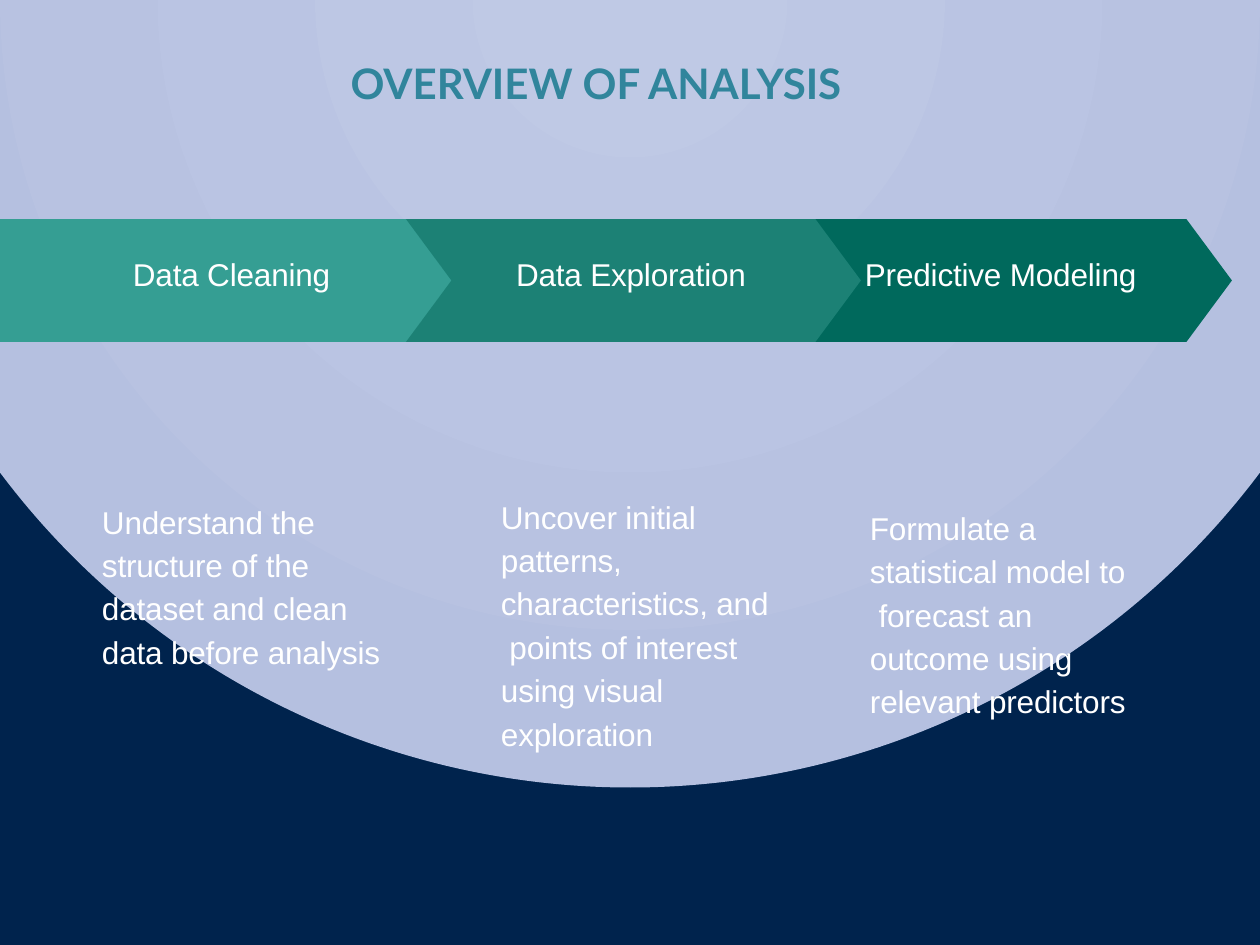
from lxml import etree
from pptx import Presentation
from pptx.dml.color import RGBColor
from pptx.enum import shapes, text
from pptx.oxml import ns
from pptx.util import Emu, Pt

PX = 914400 // 126
WHITE = RGBColor(0xFF, 0xFF, 0xFF)
HEADING = RGBColor(0x31, 0x85, 0x9C)
MINT = RGBColor(0x35, 0x9E, 0x93)
TEAL = RGBColor(0x1C, 0x81, 0x75)
PINE = RGBColor(0x00, 0x69, 0x5C)
GLOW = RGBColor(0xBF, 0xC9, 0xE5)
HAZE = RGBColor(0xB5, 0xC0, 0xE0)
NAVY = RGBColor(0x00, 0x23, 0x4D)

BACKGROUND = f"""<p:bg {ns.nsdecls('p', 'a')}><p:bgPr>
<a:gradFill rotWithShape="1"><a:gsLst>
<a:gs pos="0"><a:srgbClr val="{GLOW}"/></a:gs>
<a:gs pos="100000"><a:srgbClr val="{HAZE}"><a:alpha val="87000"/></a:srgbClr></a:gs>
<a:gs pos="100000"><a:srgbClr val="{NAVY}"/></a:gs>
</a:gsLst><a:path path="circle">
<a:fillToRect l="50000" t="-80000" r="50000" b="180000"/></a:path></a:gradFill>
<a:effectLst/></p:bgPr></p:bg>"""


def px(*lengths):
    return [Emu(length * PX) for length in lengths]


def write(frame, words, font="Arial", size=18, color=WHITE, bold=False,
          align=text.PP_ALIGN.LEFT, anchor=text.MSO_ANCHOR.TOP,
          line_spacing=1.0, tracking=-10):
    frame.word_wrap = True
    frame.auto_size = text.MSO_AUTO_SIZE.SHAPE_TO_FIT_TEXT
    frame.vertical_anchor = anchor
    frame.margin_left, frame.margin_top, frame.margin_right, frame.margin_bottom = px(1, 3, 0, 0)
    frame.text = words
    paragraph = frame.paragraphs[0]
    paragraph.alignment = align
    paragraph.line_spacing = line_spacing
    for run in paragraph.runs:
        run.font.name = font
        run.font.size = Pt(size)
        run.font.bold = bold
        run.font.color.rgb = color
        run._r.get_or_add_rPr().set("spc", str(tracking))


class Deck:
    def __init__(self):
        self.show = Presentation()
        self.show.slide_width, self.show.slide_height = px(1260, 945)
        self.slide = self.show.slides.add_slide(self.show.slide_layouts[5])

    def background(self):
        self.slide._element.cSld.insert(0, etree.fromstring(BACKGROUND))

    def title(self, words, *box):
        heading = self.slide.shapes.title
        heading.left, heading.top, heading.width, heading.height = px(*box)
        write(heading.text_frame, words, font="Lato", size=24, color=HEADING,
              bold=True, align=text.PP_ALIGN.CENTER,
              anchor=text.MSO_ANCHOR.MIDDLE, tracking=0)

    def arrow(self, preset, color, left, width):
        arrow = self.slide.shapes.add_shape(preset, *px(left, 219, width, 123))
        arrow.adjustments[0] = 0.37
        arrow.shadow.inherit = False
        arrow.fill.solid()
        arrow.fill.fore_color.rgb = color
        arrow.line.fill.background()

    def words(self, words, *box, **style):
        write(self.slide.shapes.add_textbox(*px(*box)).text_frame, words, **style)


def main():
    deck = Deck()
    deck.background()
    deck.title("OVERVIEW OF ANALYSIS", 254, 55, 683, 53)

    chevron = shapes.MSO_SHAPE.CHEVRON
    stages = [
        (chevron, PINE, (776, 456),
         "Predictive Modeling", (864, 252, 278, 40),
         "Formulate a\vstatistical model to\v forecast an\voutcome using\vrelevant predictors",
         (869, 500, 262, 222)),
        (shapes.MSO_SHAPE.PENTAGON, MINT, (0, 452),
         "Data Cleaning", (132, 252, 203, 40),
         "Understand the\vstructure of the\vdataset and clean\vdata before analysis",
         (101, 494, 285, 178)),
        (chevron, TEAL, (406, 455),
         "Data Exploration", (515, 252, 236, 40),
         "Uncover initial\vpatterns,\vcharacteristics, and\v points of interest\vusing visual\vexploration",
         (500, 489, 275, 265)),
    ]
    for preset, color, span, label, label_box, detail, detail_box in stages:
        deck.arrow(preset, color, *span)
        deck.words(label, *label_box)
        deck.words(detail, *detail_box, line_spacing=1.15)

    deck.show.save("out.pptx")


if __name__ == "__main__":
    main()
